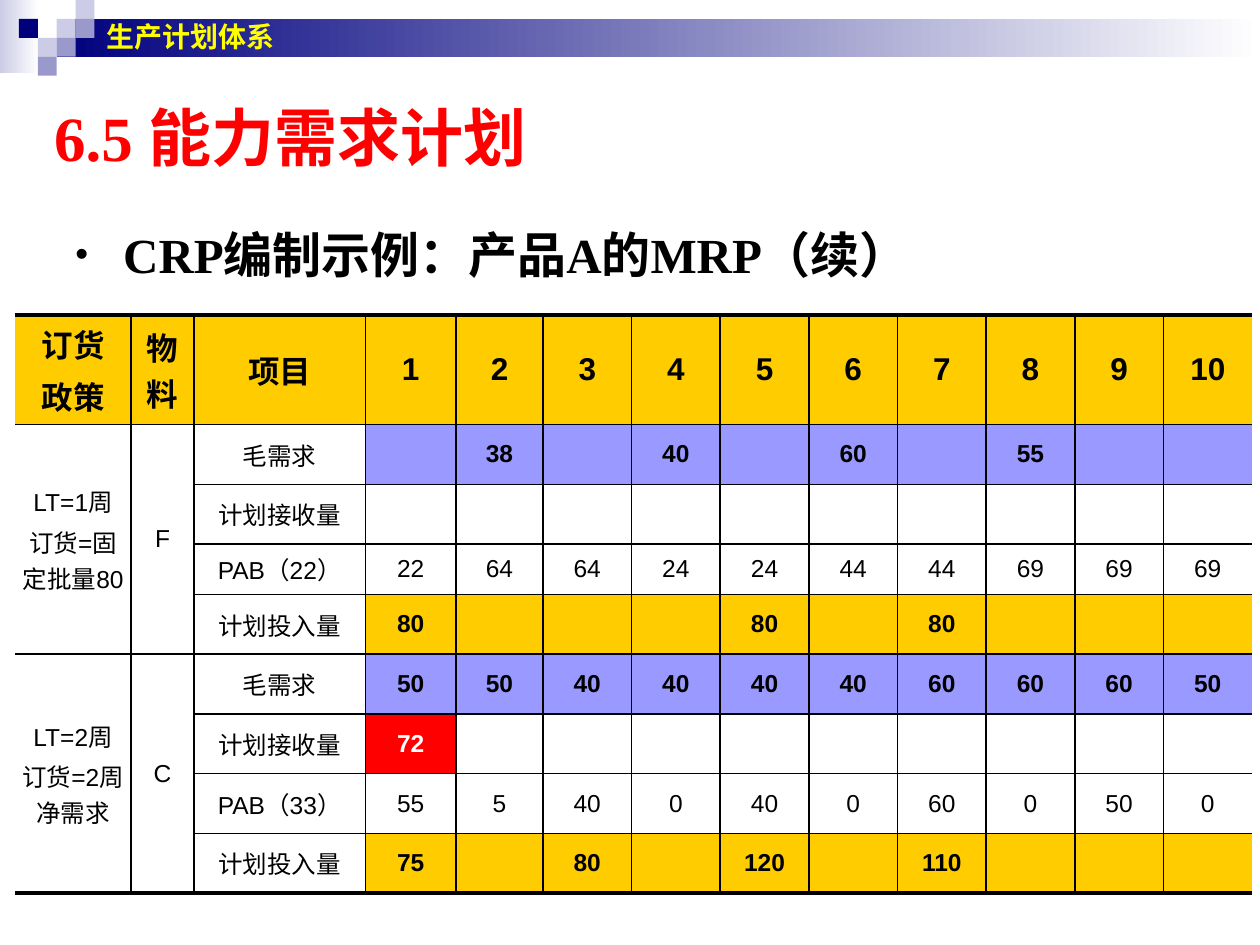
from lxml import etree
from pptx import Presentation
from pptx.dml.color import RGBColor
from pptx.enum.shapes import MSO_SHAPE
from pptx.enum.text import MSO_ANCHOR, PP_ALIGN
from pptx.oxml.ns import qn
from pptx.util import Inches, Pt

COLORS = {
    "navy": "00007D", "lilac": "CCCCE6", "violet": "9999CC",
    "white": "FFFFFF", "black": "000000", "red": "FF0000",
    "yellow": "FFFF00", "gold": "FFCC00", "demand": "9999FF",
}

PERIODS = 10
PLAN_ROWS = 4
HEADINGS = ["订货\n政策", "物料", "项目"] + [str(n + 1) for n in range(PERIODS)]
# Each material: policy, code, opening balance, then values by period
MATERIALS = [
    ("LT=1周\n订货=固定批量80", "F", 22,
     {2: 38, 4: 40, 6: 60, 8: 55},
     {},
     [22, 64, 64, 24, 24, 44, 44, 69, 69, 69],
     {1: 80, 5: 80, 7: 80}),
    ("LT=2周\n订货=2周净需求", "C", 33,
     dict(enumerate([50, 50, 40, 40, 40, 40, 60, 60, 60, 50], 1)),
     {1: 72},
     [55, 5, 40, 0, 40, 0, 60, 0, 50, 0],
     {1: 75, 3: 80, 5: 120, 7: 110}),
]


def rgb(name):
    return RGBColor.from_string(COLORS[name])


def add_run(paragraph, text, size, color="black", bold=False, font="Arial"):
    run = paragraph.add_run()
    run.text = text
    run.font.size = Pt(size)
    run.font.name = font
    run.font.bold = bold
    run.font.color.rgb = rgb(color)


def add_block(slide, left, top, width, height, color, fade_to=None):
    block = slide.shapes.add_shape(MSO_SHAPE.RECTANGLE, Inches(left), Inches(top),
                                   Inches(width), Inches(height))
    block.shadow.inherit = False
    block.line.fill.background()
    if fade_to:
        block.fill.gradient()
        block.fill.gradient_angle = 0
        for stop, name in zip(block.fill.gradient_stops, (color, fade_to)):
            stop.color.rgb = rgb(name)
    else:
        block.fill.solid()
        block.fill.fore_color.rgb = rgb(color)


def add_text_box(slide, left, top, width, height):
    box = slide.shapes.add_textbox(Inches(left), Inches(top), Inches(width), Inches(height))
    box.text_frame.word_wrap = True
    return box.text_frame


def add_banner(slide, left, top):
    """Fading bar, mosaic of squares and chapter name."""
    add_block(slide, left, top, 0.31, 0.58, "lilac", "white")
    add_block(slide, left + 0.45, top + 0.15, 9.55, 0.3, "navy", "white")
    side = 0.15
    mosaic = [(3, 1, "lilac"), (4, 0, "lilac"), (4, 1, "violet"), (2, 2, "lilac"),
              (1, 1, "navy"), (3, 2, "violet"), (2, 3, "violet")]
    for column, row, color in mosaic:
        add_block(slide, left + column * side, top + row * side, side, side, color)
    chapter = add_text_box(slide, left + 0.75, top, 8.83, 0.58)
    chapter.vertical_anchor = MSO_ANCHOR.MIDDLE
    add_run(chapter.paragraphs[0], "生产计划体系", 16, "yellow", True)


def place_title(slide, left, top, width, height):
    title = slide.shapes.title
    title.left, title.top = Inches(left), Inches(top)
    title.width, title.height = Inches(width), Inches(height)
    title.text_frame.vertical_anchor = MSO_ANCHOR.MIDDLE
    heading = title.text_frame.paragraphs[0]
    heading.alignment = PP_ALIGN.LEFT
    add_run(heading, "6.5 能力需求计划", 36, "red", True, "Times New Roman")


def add_topic(slide, left, top, width, height):
    topic = add_text_box(slide, left, top, width, height).paragraphs[0]
    props = topic._p.get_or_add_pPr()
    props.set("marL", str(Inches(0.38)))
    props.set("indent", str(-Inches(0.38)))
    bullet_color = etree.SubElement(props, qn("a:buClr"))
    etree.SubElement(bullet_color, qn("a:srgbClr"), val=COLORS["black"])
    etree.SubElement(props, qn("a:buSzPct"), val="75000")
    etree.SubElement(props, qn("a:buFont"), typeface="Arial")
    etree.SubElement(props, qn("a:buChar"), char="•")
    topic.line_spacing = 1.5
    add_run(topic, "CRP编制示例：产品A的MRP（续）", 28, "black", True, "Times New Roman")


def set_borders(cell, widths):
    """Draw left, right, top and bottom borders; a width of 0 means none."""
    props = cell._tc.get_or_add_tcPr()
    for side, width in zip("LRTB", widths):
        line = etree.SubElement(props, qn(f"a:ln{side}"), w=str(Pt(width)))
        if width:
            fill = etree.SubElement(line, qn("a:solidFill"))
            etree.SubElement(fill, qn("a:srgbClr"), val=COLORS["black"])
        else:
            etree.SubElement(line, qn("a:noFill"))


def write_cell(cell, text, size=14, color="black", bold=False, fill=None):
    cell.vertical_anchor = MSO_ANCHOR.MIDDLE
    cell.margin_left = cell.margin_right = Inches(0.04)
    cell.margin_top = cell.margin_bottom = Inches(0.05)
    if fill:
        cell.fill.solid()
        cell.fill.fore_color.rgb = rgb(fill)
    else:
        cell.fill.background()
    frame = cell.text_frame
    for index, line in enumerate(text.split("\n")):
        paragraph = frame.add_paragraph() if index else frame.paragraphs[0]
        paragraph.alignment = PP_ALIGN.CENTER
        if index:
            paragraph.space_before = Pt(size * 0.2)
        if line:
            add_run(paragraph, line, size, color, bold)


def fill_material(table, first_row, material):
    """Write the four planning rows of one material."""
    policy, code, balance, demand, receipts, stock, releases = material
    for column, text in enumerate((policy, code)):
        top_cell = table.cell(first_row, column)
        top_cell.merge(table.cell(first_row + PLAN_ROWS - 1, column))
        write_cell(top_cell, text)
    plan = [
        ("毛需求", demand, "demand", True),
        ("计划接收量", receipts, None, True),
        (f"PAB（{balance}）", dict(enumerate(stock, 1)), None, False),
        ("计划投入量", releases, "gold", True),
    ]
    for row, (item, values, fill, bold) in enumerate(plan, first_row):
        write_cell(table.cell(row, 2), item)
        for period in range(1, PERIODS + 1):
            due = values is receipts and period in receipts
            write_cell(table.cell(row, period + 2), str(values.get(period, "")),
                       color="white" if due else "black", bold=bold,
                       fill="red" if due else fill)


def add_plan_table(slide, left, top, width, height):
    row_count, column_count = 1 + PLAN_ROWS * len(MATERIALS), len(HEADINGS)
    table = slide.shapes.add_table(row_count, column_count, Inches(left), Inches(top),
                                   Inches(width), Inches(height)).table
    table.first_row = table.horz_banding = False

    # Column widths and row heights
    lead_widths = [0.92, 0.5, 1.36, 0.72, 0.69]
    rest = column_count - len(lead_widths)
    period_width = (width - sum(lead_widths)) / rest
    for column, size in zip(table.columns, lead_widths + [period_width] * rest):
        column.width = Inches(size)
    heights = {0: 0.87, 3: 0.4}
    plain_height = (height - sum(heights.values())) / (row_count - len(heights))
    for index, row in enumerate(table.rows):
        row.height = Inches(heights.get(index, plain_height))

    # Rules: heavy at top and bottom, open at the sides
    for row in range(row_count):
        for column in range(column_count):
            merged = column < 2 and row > 0
            reaches_bottom = row >= row_count - (PLAN_ROWS if merged else 1)
            set_borders(table.cell(row, column), (
                1 if column else 0,
                1 if column < column_count - 1 else 0,
                1 if row else 2.25,
                2.25 if reaches_bottom else 1))

    # Contents
    for column, heading in enumerate(HEADINGS):
        write_cell(table.cell(0, column), heading, 18, bold=True, fill="gold")
    for index, material in enumerate(MATERIALS):
        fill_material(table, 1 + PLAN_ROWS * index, material)


def main():
    deck = Presentation()
    deck.slide_width, deck.slide_height = Inches(10), Inches(7.5)
    slide = deck.slides.add_slide(deck.slide_layouts[5])
    add_banner(slide, 0, 0)
    place_title(slide, 0.33, 0.75, 9, 0.67)
    add_topic(slide, 0.5, 1.5, 9.17, 1.42)
    add_plan_table(slide, 0.12, 2.5, 9.82, 4.59)
    deck.save("out.pptx")


if __name__ == "__main__":
    main()
